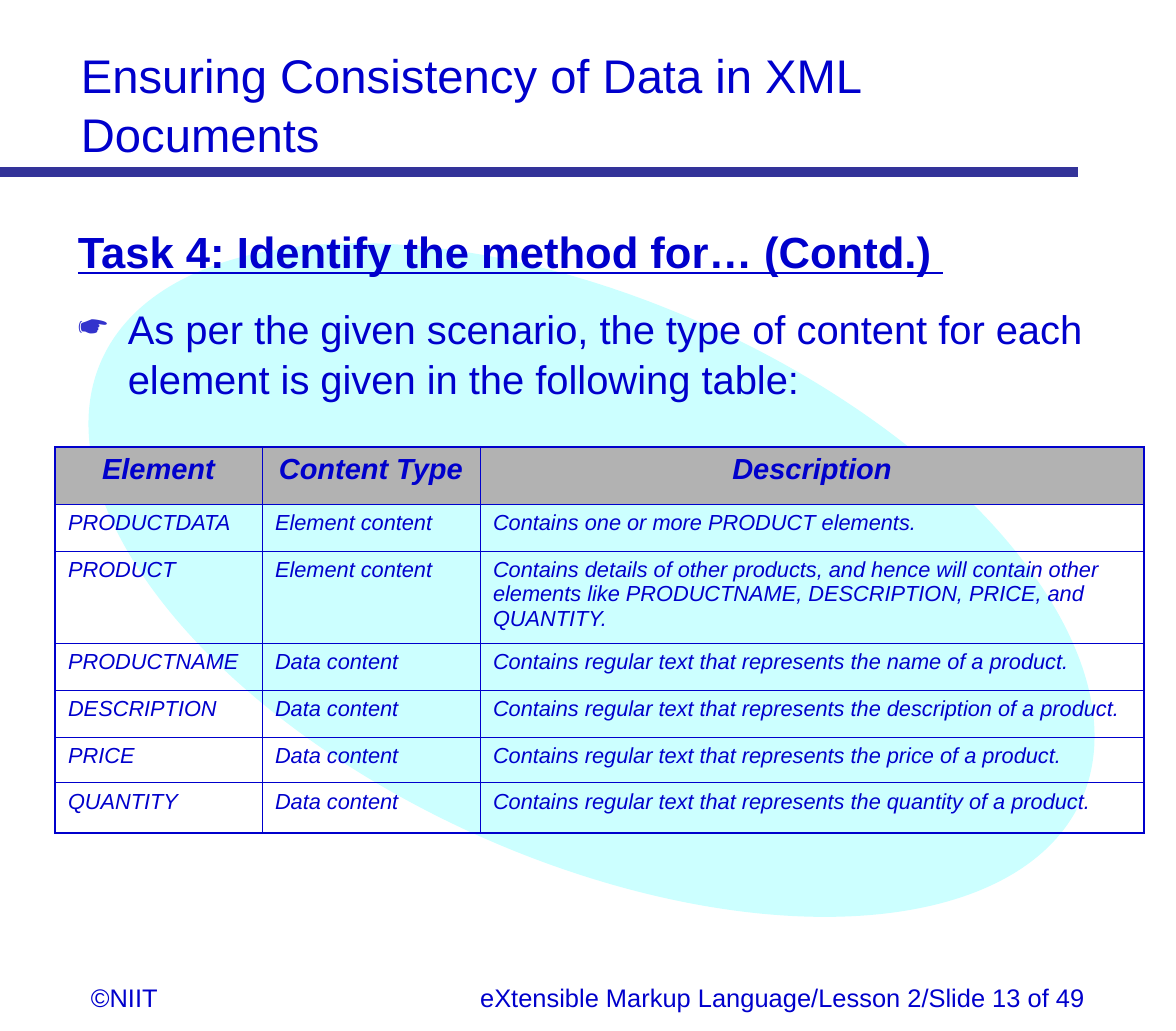
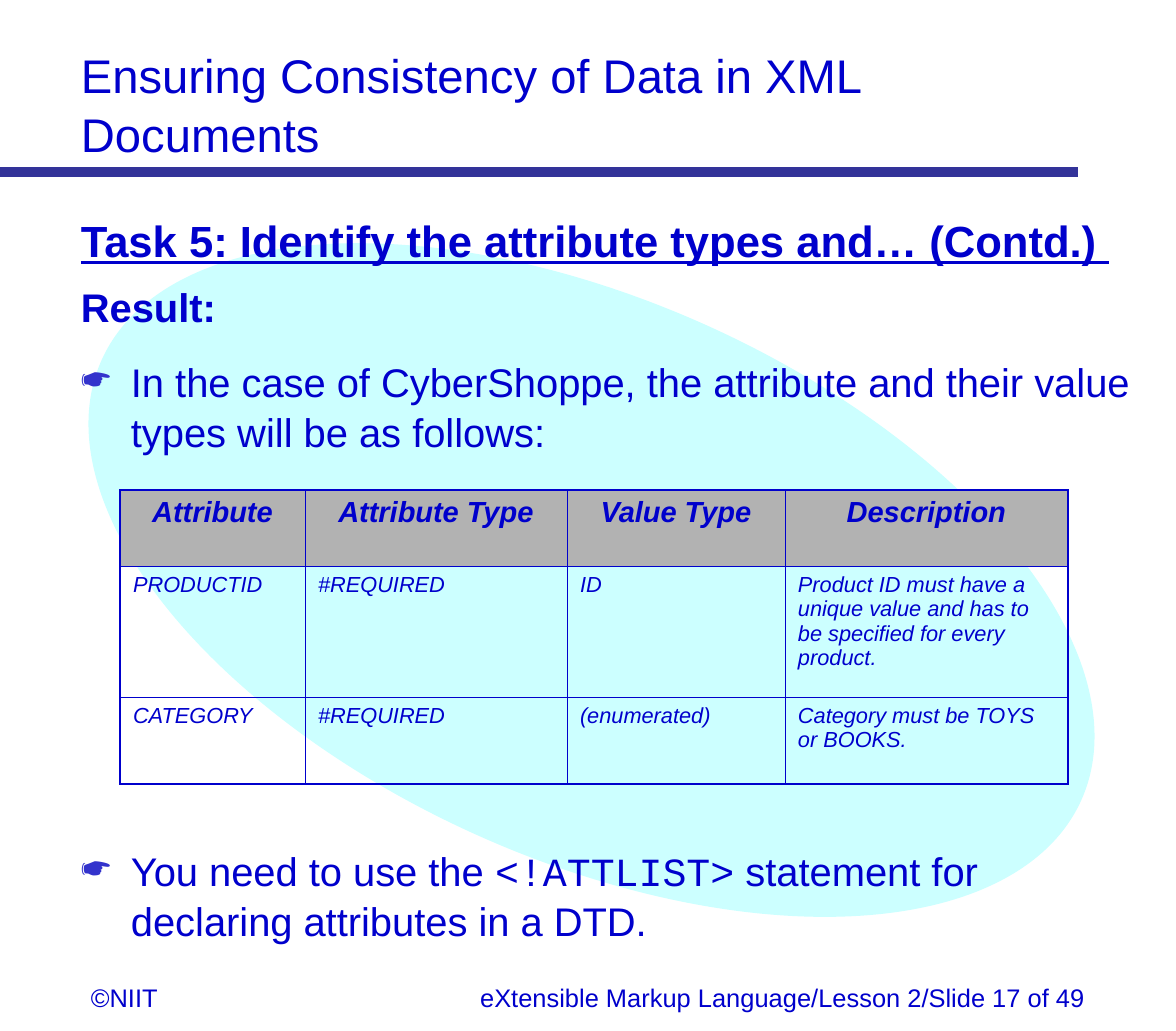
from lxml.etree import SubElement
from pptx import Presentation
from pptx.dml.color import RGBColor
from pptx.enum.shapes import MSO_CONNECTOR, MSO_SHAPE
from pptx.enum.text import PP_ALIGN
from pptx.oxml.ns import qn
from pptx.util import Pt

BLUE = RGBColor(0x00, 0x00, 0xCC)
BULLET_BLUE = RGBColor(0x33, 0x33, 0xCC)
RULE_BLUE = RGBColor(0x33, 0x33, 0x99)
PALE_CYAN = RGBColor(0xCC, 0xFF, 0xFF)
HEADER_GRAY = RGBColor(0xB2, 0xB2, 0xB2)

EMU_PER_PX = 914400 / 130.7
SLIDE_SIZE = (1176, 1031)
TITLE = "Ensuring Consistency of Data in XML Documents"
COPYRIGHT = "©NIIT"
FOOTER = "eXtensible Markup Language/Lesson 2/Slide {} of 49"

TITLE_BOX = (68, 37, 1019, 127)
COPYRIGHT_BOX = (78, 974, 146, 44)
FOOTER_BOX = (412, 974, 686, 44)
ELLIPSE_BOX = (312, 43, 559, 1074)
ELLIPSE_ROTATION = 294.2
RULE_Y, RULE_END = 172, 1078
BODY_INDENT = 50
OUTER_BORDER, INNER_BORDER = 1.08, 0.45

TITLE_FONT = {"size": Pt(26)}
FOOTER_FONT = {"size": Pt(14)}
HEADING_FONT = {"size": Pt(24), "bold": True, "underline": True}
RESULT_FONT = {"size": Pt(22), "bold": True}
BODY_FONT = {"size": Pt(22)}
CODE_FONT = {"size": Pt(22), "name": "Courier New"}
HEADER_FONT = {"size": Pt(16), "bold": True, "italic": True}
CELL_FONT = {"size": Pt(12), "italic": True}

NORMAL = {"line_spacing": 1.05}
TIGHT = {"line_spacing": 0.8}
SPACED = {"space_before": Pt(13.8)}
BELOW_TABLE = {"space_before": Pt(214)}

SLIDES = [
    {
        "number": 13,
        "body_box": (65, 218, 1068, 733),
        "body": [
            (False, {}, [("Task 4: Identify the method for… (Contd.) ", HEADING_FONT)]),
            (True, NORMAL | SPACED, [(
                "As per the given scenario, the type of content for each "
                "element is given in the following table:", BODY_FONT)]),
        ],
        "table_origin": (55, 447),
        "columns": [207, 218, 664],
        "row_heights": [57, 47, 92, 47, 47, 46, 50],
        "rows": [
            ("Element", "Content Type", "Description"),
            ("PRODUCTDATA", "Element content", "Contains one or more PRODUCT elements."),
            ("PRODUCT", "Element content",
             "Contains details of other products, and hence will contain other "
             "elements like PRODUCTNAME, DESCRIPTION, PRICE, and QUANTITY."),
            ("PRODUCTNAME", "Data content",
             "Contains regular text that represents the name of a product."),
            ("DESCRIPTION", "Data content",
             "Contains regular text that represents the description of a product."),
            ("PRICE", "Data content",
             "Contains regular text that represents the price of a product."),
            ("QUANTITY", "Data content",
             "Contains regular text that represents the quantity of a product."),
        ],
    },
    {
        "number": 17,
        "body_box": (68, 218, 1076, 733),
        "body": [
            (False, TIGHT, [("Task 5: Identify the attribute types and… (Contd.) ", HEADING_FONT)]),
            (False, TIGHT | SPACED, [("Result:", RESULT_FONT)]),
            (True, NORMAL | SPACED, [(
                "In the case of CyberShoppe, the attribute and their value "
                "types will be as follows:", BODY_FONT)]),
            (True, NORMAL | BELOW_TABLE, [
                ("You need to use the ", BODY_FONT),
                ("<!ATTLIST>", CODE_FONT),
                (" statement for declaring attributes in a DTD.", BODY_FONT)]),
        ],
        "table_origin": (120, 490),
        "columns": [185, 262, 218, 283],
        "row_heights": [76, 131, 87],
        "rows": [
            ("Attribute", "Attribute Type", "Value Type", "Description"),
            ("PRODUCTID", "#REQUIRED", "ID",
             "Product ID must have a unique value and has to be specified for every product."),
            ("CATEGORY", "#REQUIRED", "(enumerated)", "Category must be TOYS or BOOKS."),
        ],
    },
]


def px(length):
    return round(length * EMU_PER_PX)


def emu(lengths):
    return [px(length) for length in lengths]


def set_values(target, values):
    for name, value in values.items():
        setattr(target, name, value)


def add_run(paragraph, text, font_values):
    run = paragraph.add_run()
    run.text = text
    set_values(run.font, {"name": "Arial"} | font_values)
    run.font.color.rgb = BLUE


def add_text_box(slide, box):
    text_frame = slide.shapes.add_textbox(*emu(box)).text_frame
    text_frame.word_wrap = True
    return text_frame


def add_label(slide, box, text, font_values, alignment=PP_ALIGN.LEFT):
    paragraph = add_text_box(slide, box).paragraphs[0]
    set_values(paragraph, NORMAL | {"alignment": alignment})
    add_run(paragraph, text, font_values)


def add_background(slide):
    ellipse = slide.shapes.add_shape(MSO_SHAPE.OVAL, *emu(ELLIPSE_BOX))
    ellipse.rotation = ELLIPSE_ROTATION
    ellipse.shadow.inherit = False
    ellipse.fill.solid()
    ellipse.fill.fore_color.rgb = PALE_CYAN
    ellipse.line.fill.background()


def add_rule(slide):
    rule = slide.shapes.add_connector(
        MSO_CONNECTOR.STRAIGHT, *emu((0, RULE_Y, RULE_END, RULE_Y)))
    rule.line.color.rgb = RULE_BLUE
    rule.line.width = Pt(5)
    SubElement(rule._element.spPr, qn("a:effectLst"))


def add_frame(slide, number):
    add_background(slide)
    add_label(slide, TITLE_BOX, TITLE, TITLE_FONT)
    add_label(slide, COPYRIGHT_BOX, COPYRIGHT, FOOTER_FONT)
    add_label(slide, FOOTER_BOX, FOOTER.format(number), FOOTER_FONT, PP_ALIGN.RIGHT)
    add_rule(slide)


def set_bullet(paragraph):
    properties = paragraph._p.get_or_add_pPr()
    properties.set("marL", str(px(BODY_INDENT)))
    properties.set("indent", str(-px(BODY_INDENT)))
    color = SubElement(properties, qn("a:buClr"))
    SubElement(color, qn("a:srgbClr"), val=str(BULLET_BLUE))
    SubElement(properties, qn("a:buChar"), char="☛")


def add_body(slide, box, items):
    text_frame = add_text_box(slide, box)
    for index, (bulleted, values, runs) in enumerate(items):
        paragraph = text_frame.add_paragraph() if index else text_frame.paragraphs[0]
        if bulleted:
            set_bullet(paragraph)
        set_values(paragraph, values)
        for text, font_values in runs:
            add_run(paragraph, text, font_values)


def set_borders(cell, outer_sides):
    properties = cell._tc.get_or_add_tcPr()
    for index, (side, is_outer) in enumerate(outer_sides.items()):
        width = OUTER_BORDER if is_outer else INNER_BORDER
        line = properties.makeelement(qn(f"a:{side}"), {"w": str(Pt(width))})
        fill = SubElement(line, qn("a:solidFill"))
        SubElement(fill, qn("a:srgbClr"), val=str(BLUE))
        properties.insert(index, line)


def add_table(slide, origin, columns, row_heights, rows):
    box = (*origin, sum(columns), sum(row_heights))
    table = slide.shapes.add_table(len(rows), len(columns), *emu(box)).table
    set_values(table, {"first_row": False, "horz_banding": False})
    for column, width in zip(table.columns, columns):
        column.width = px(width)
    for row, height in zip(table.rows, row_heights):
        row.height = px(height)
    last_row, last_column = len(rows) - 1, len(columns) - 1
    for row_index, texts in enumerate(rows):
        for column_index, text in enumerate(texts):
            cell = table.cell(row_index, column_index)
            paragraph = cell.text_frame.paragraphs[0]
            if row_index == 0:
                cell.fill.solid()
                cell.fill.fore_color.rgb = HEADER_GRAY
                paragraph.alignment = PP_ALIGN.CENTER
            else:
                cell.fill.background()
            add_run(paragraph, text, CELL_FONT if row_index else HEADER_FONT)
            set_borders(cell, {
                "lnL": column_index == 0,
                "lnR": column_index == last_column,
                "lnT": row_index == 0,
                "lnB": row_index == last_row,
            })


def main():
    presentation = Presentation()
    presentation.slide_width, presentation.slide_height = emu(SLIDE_SIZE)
    for content in SLIDES:
        slide = presentation.slides.add_slide(presentation.slide_layouts[6])
        add_frame(slide, content["number"])
        add_body(slide, content["body_box"], content["body"])
        add_table(slide, content["table_origin"], content["columns"],
                  content["row_heights"], content["rows"])
    presentation.save("out.pptx")


if __name__ == "__main__":
    main()
